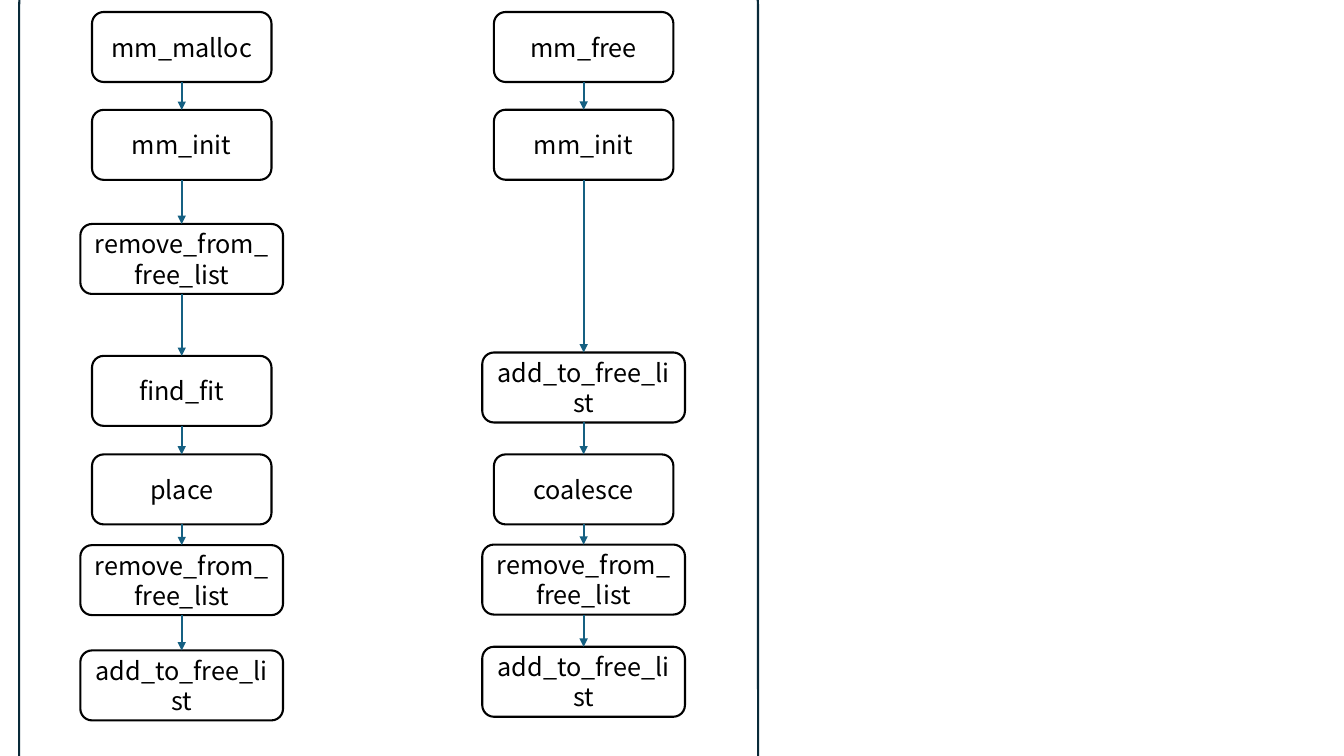
"""Build a slide with the call flows of mm_malloc and mm_free."""
from dataclasses import dataclass

from lxml.etree import SubElement
from pptx import Presentation
from pptx.dml.color import RGBColor
from pptx.enum.shapes import MSO_CONNECTOR, MSO_SHAPE
from pptx.enum.text import MSO_ANCHOR, PP_ALIGN
from pptx.oxml import parse_xml
from pptx.oxml.ns import nsdecls, qn
from pptx.util import Pt

REMOVE = "remove_from_\nfree_list"
ADD = "add_to_free_list"
FLOWS = [
    (129.8, [("mm_malloc", 8.6), ("mm_init", 78.5), (REMOVE, 160), ("find_fit", 254.2),
             ("place", 324.6), (REMOVE, 389.4), (ADD, 464.6)]),
    (416.9, [("mm_free", 8.6), ("mm_init", 78.4), (ADD, 251.8),
             ("coalesce", 324.6), (REMOVE, 389), (ADD, 462)]),
]
FRAME = (13.7, -82.1, 527.8, 725.8)
NARROW, WIDE, HEIGHT = 128.2, 144.8, 50


@dataclass(frozen=True)
class Theme:
    paper: str = "FFFFFF"
    ink: str = "000000"
    frame: str = "092A39"
    arrow: str = "156082"
    font: str = "Noto Sans CJK KR"
    size: float = 18
    line: float = 1.5
    outline: float = 0.75


THEME = Theme()


def color(value):
    return RGBColor.from_string(value)


def add_box(page, kind, bounds, line):
    box = page.shapes.add_shape(kind, *map(Pt, bounds))
    box.shadow.inherit = False
    box.fill.solid()
    box.fill.fore_color.rgb = color(THEME.paper)
    box.line.color.rgb = color(line)
    box.line.width = Pt(THEME.line)
    return box


def write(box, text, *, size=THEME.size, ink=THEME.ink, align=PP_ALIGN.CENTER):
    frame = box.text_frame
    frame.word_wrap = True
    frame.vertical_anchor = MSO_ANCHOR.MIDDLE
    for index, line in enumerate(text.split("\n")):
        para = frame.add_paragraph() if index else frame.paragraphs[0]
        para.alignment = align
        span = para.add_run()
        span.text = line
        span.font.size = Pt(size)
        span.font.name = THEME.font
        span.font.color.rgb = color(ink)
        properties = span.font._element
        east_asian = SubElement(properties, qn("a:ea"), typeface=THEME.font)
        properties.find(qn("a:latin")).addnext(east_asian)
        properties.insert(0, parse_xml(
            f'<a:ln {nsdecls("a")} w="{Pt(THEME.outline)}"><a:solidFill>'
            f'<a:srgbClr val="{ink}"/></a:solidFill></a:ln>'))


def add_arrow(page, above, below):
    arrow = page.shapes.add_connector(MSO_CONNECTOR.STRAIGHT, 0, 0, 0, 0)
    arrow.begin_connect(above, 2)
    arrow.end_connect(below, 0)
    arrow.line.color.rgb = color(THEME.arrow)
    arrow.line.width = Pt(THEME.line)
    SubElement(arrow.line._get_or_add_ln(), qn("a:tailEnd"), type="triangle")
    SubElement(arrow._element.spPr, qn("a:effectLst"))


def add_flow(page, center, steps):
    boxes = []
    for text, top in steps:
        width = WIDE if text in (REMOVE, ADD) else NARROW
        bounds = (center - width / 2, top, width, HEIGHT)
        box = add_box(page, MSO_SHAPE.FLOWCHART_ALTERNATE_PROCESS, bounds, THEME.ink)
        write(box, text)
        boxes.append(box)
    for above, below in zip(boxes, boxes[1:]):
        add_arrow(page, above, below)


def main():
    deck = Presentation()
    deck.slide_width, deck.slide_height = Pt(960), Pt(540)
    page = deck.slides.add_slide(deck.slide_layouts[6])
    add_box(page, MSO_SHAPE.ROUNDED_RECTANGLE, FRAME, THEME.frame)
    for center, steps in FLOWS:
        add_flow(page, center, steps)
    deck.save("out.pptx")


if __name__ == "__main__":
    main()
